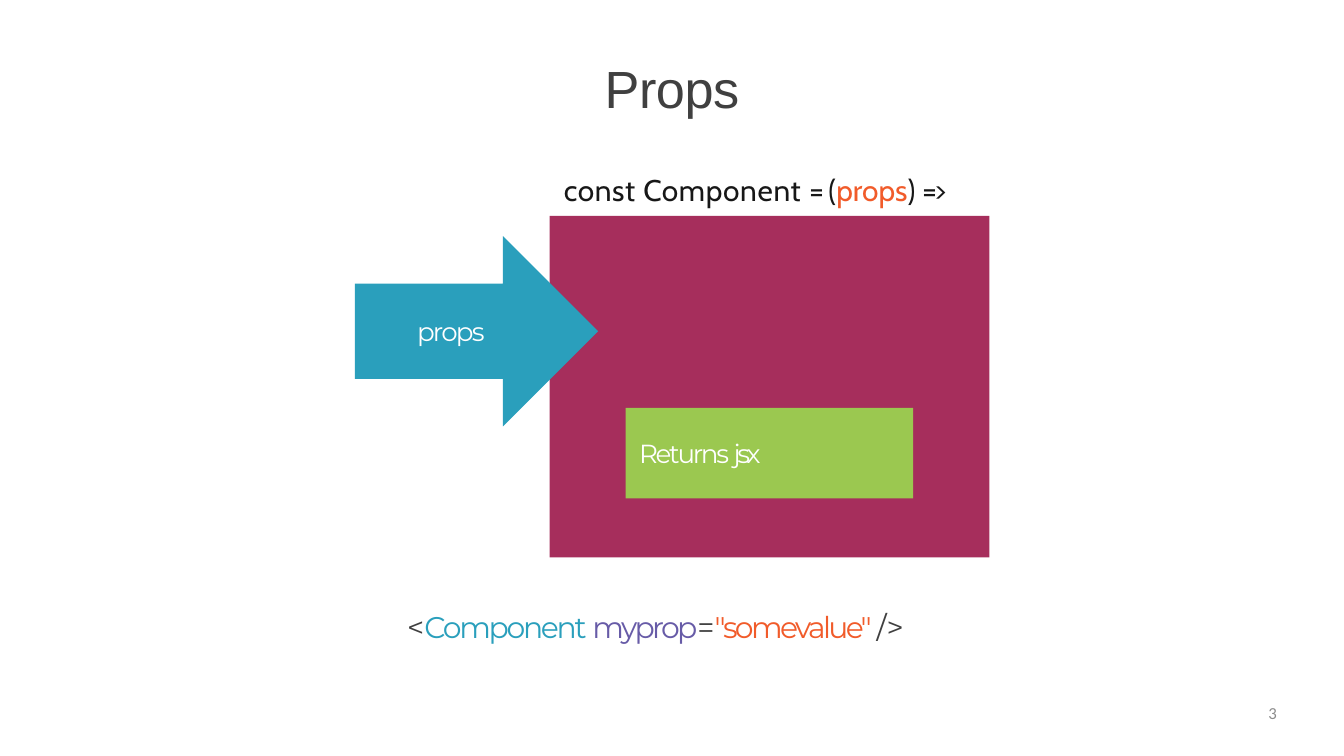
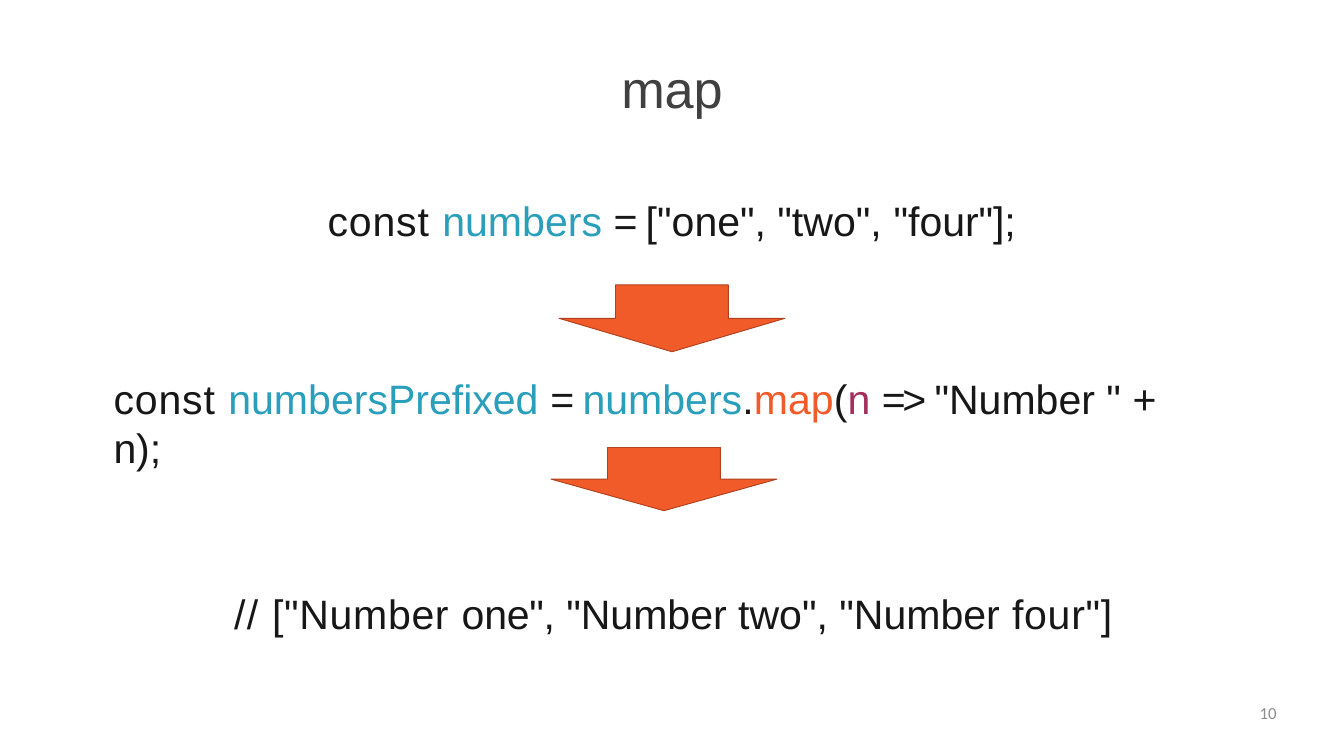
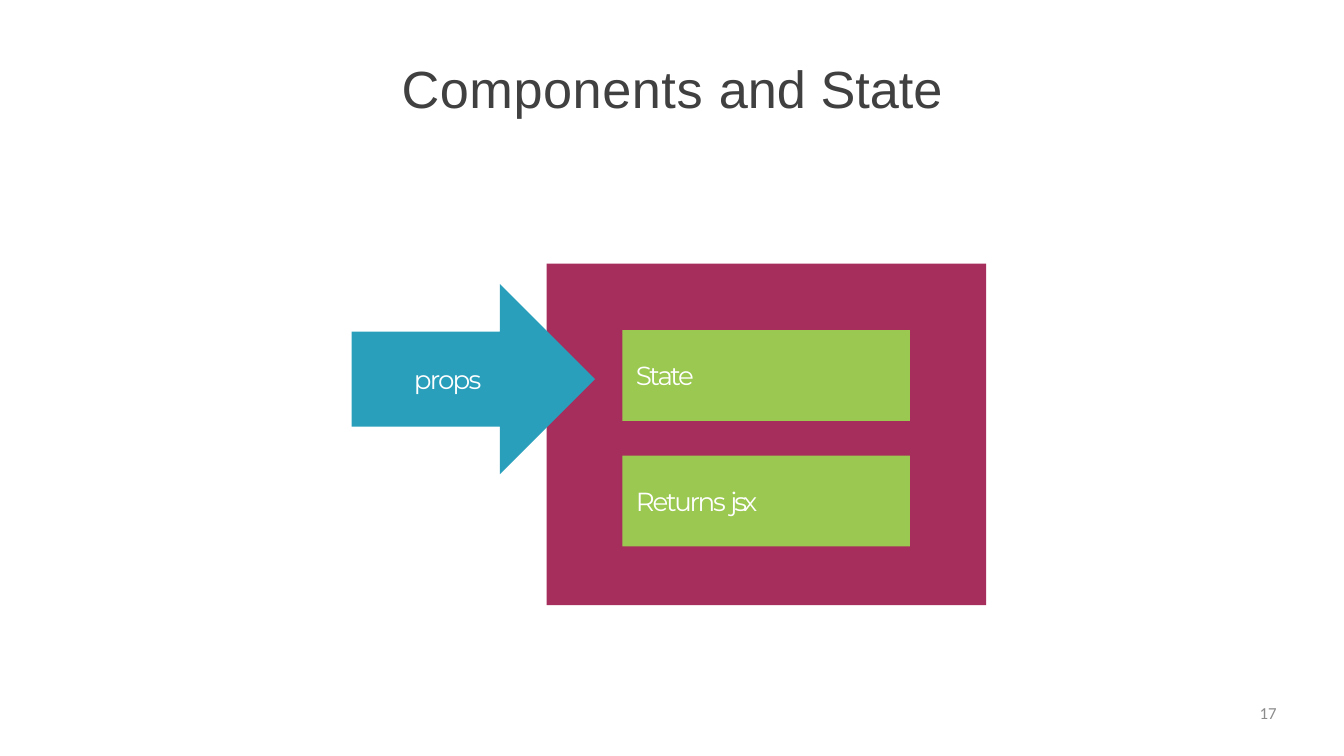
"""Build three slides on component props, array mapping and state."""
import dataclasses

import pptx
import pptx.dml.color
import pptx.enum.shapes
import pptx.enum.text
import pptx.util

Pt = pptx.util.Pt
SHAPE = pptx.enum.shapes.MSO_SHAPE
ALIGN = pptx.enum.text.PP_ALIGN
ANCHOR = pptx.enum.text.MSO_ANCHOR


@dataclasses.dataclass(frozen=True)
class Theme:
    """Colours, fonts and type sizes shared by all slides."""
    white: str = "FFFFFF"
    dark: str = "404040"
    ink: str = "171717"
    grey: str = "8C8C8C"
    teal: str = "2A9FBC"
    berry: str = "A62E5C"
    green: str = "9BC850"
    purple: str = "675BA7"
    orange: str = "F15B2A"
    rust: str = "B1411C"
    title: tuple = ("Arial", 56)
    label: tuple = ("Montserrat", 28)
    markup: tuple = ("Montserrat", 32)
    signature: tuple = ("Cabin", 32)
    code: tuple = ("Arial", 44)
    number: tuple = ("Calibri", 18)


T = Theme()

WIDTH, HEIGHT = 1440, 810
TITLE_TOP, TITLE_HEIGHT = 59.8, 69
NUMBER_BOX = (1036.8, 753, 331.2, 40)

BOX_SIZE = (471, 366)
ARROW_OFFSET, ARROW_SIZE = (-208.8, 21.8), (260.6, 203.8)
PANEL_X, PANEL_SIZE = 81.4, (308, 97.2)
PANEL_INDENT = 14.4

PROPS_LABEL = [("props", T.white, -1.9)]
STATE_PANEL = (71.2, [("State", T.white, -2.7)])
RETURNS_PANEL = (205.7, [("Returns ", T.white, -2.4), ("jsx", T.white, -3.6)])

SIGNATURE = [("const Component ", T.ink, 0.7), ("= ", T.ink, -2.6), ("(", T.ink, 0),
             ("props", T.orange, 0), (") ", T.ink, 0), ("=>", T.ink, -2.9)]
MARKUP = [("<", T.dark, -2.5), ("Component ", T.teal, -2.5), ("myprop", T.purple, -2.9),
          ("=", T.dark, -2.9), ('"somevalue" ', T.orange, -2.9), ("/>", T.dark, -0.2)]
NUMBERS = [("const ", T.ink, 0.9), ("numbers ", T.teal, 0), ("= ", T.ink, -3.6),
           ('["one", "two", ', T.ink, 0), ('"four"];', T.ink, -0.1)]
PREFIXED = [("const ", T.ink, 0.9), ("numbersPrefixed ", T.teal, 0), ("= ", T.ink, -3.6),
            ("numbers", T.teal, 0), (".", T.ink, 0), ("map", T.orange, 0), ("(", T.ink, 0),
            ("n ", T.berry, 0), ("=> ", T.ink, -3.6), ('"Number " ', T.ink, 0),
            ("+ ", T.ink, -3.6), ("n);", T.ink, -0.2)]
RESULT = [("// ", T.ink, 1.3), ('["Number ', T.ink, 0.7), ('one", ', T.ink, -0.3),
          ('"Number two", "Number ', T.ink, 0), ('four"]', T.ink, 0.8)]

SLIDES = [
    dict(title=[("Props", T.dark, -0.5)], title_width=146, number="3",
         component=((589, 231.2), [RETURNS_PANEL]),
         texts=[((436.3, 651.6, 569.5, 40), T.markup, [(MARKUP, ALIGN.LEFT, 0, 0)]),
                ((604.1, 183.6, 437, 40), T.signature, [(SIGNATURE, ALIGN.LEFT, 0, 0)])]),
    dict(title=[("map", T.dark, -0.2)], title_width=580, number="10",
         texts=[((121, 209.5, 1175.8, 411), T.code,
                 [(NUMBERS, ALIGN.CENTER, 21.6, 0), (PREFIXED, ALIGN.LEFT, 0.7, 138),
                  (RESULT, ALIGN.CENTER, 25.2, 125)])],
         down_arrows=[(599, 305.3, 242, 71.6), (590.4, 479.5, 242, 67.7)]),
    dict(title=[("Components ", T.dark, 0.6), ("and ", T.dark, 0), ("State", T.dark, -0.1)],
         title_width=580, number="17",
         component=((585.6, 282.5), [STATE_PANEL, RETURNS_PANEL])),
]


def rgb(value):
    return pptx.dml.color.RGBColor.from_string(value)


def pts(values):
    return [Pt(v) for v in values]


def fill_frame(tf, style, paragraphs, anchor=ANCHOR.TOP, wrap=True):
    tf.margin_left = tf.margin_top = tf.margin_right = tf.margin_bottom = 0
    tf.auto_size = pptx.enum.text.MSO_AUTO_SIZE.NONE
    tf.word_wrap, tf.vertical_anchor = wrap, anchor
    for i, (runs, align, indent, gap) in enumerate(paragraphs):
        p = tf.add_paragraph() if i else tf.paragraphs[0]
        p.alignment = align
        if indent:
            p._p.get_or_add_pPr().set("marL", str(int(Pt(indent))))
        if gap:
            p.space_before = Pt(gap)
        for text, colour, spacing in runs:
            r = p.add_run()
            r.text = text
            r.font.name, r.font.size = style[0], Pt(style[1])
            r.font.color.rgb = rgb(colour)
            if spacing:
                r._r.get_or_add_rPr().set("spc", str(round(spacing * 100)))


def add_text(s, box, style, paragraphs):
    sp = s.shapes.add_textbox(*pts(box))
    fill_frame(sp.text_frame, style, paragraphs)


def add_block(s, kind, box, colour, outline=None):
    sp = s.shapes.add_shape(kind, *pts(box))
    sp.shadow.inherit = False
    sp.fill.solid()
    sp.fill.fore_color.rgb = rgb(colour)
    if outline:
        sp.line.color.rgb = rgb(outline)
        sp.line.width = Pt(1)
    else:
        sp.line.fill.background()
    return sp


def add_component(s, origin, panels):
    x, y = origin
    add_block(s, SHAPE.RECTANGLE, (x, y, *BOX_SIZE), T.berry)
    dx, dy = ARROW_OFFSET
    arrow = add_block(s, SHAPE.RIGHT_ARROW, (x + dx, y + dy, *ARROW_SIZE), T.teal)
    fill_frame(arrow.text_frame, T.label, [(PROPS_LABEL, ALIGN.CENTER, 0, 0)], ANCHOR.MIDDLE)
    arrow.text_frame.margin_right = Pt(4)
    for top, runs in panels:
        panel = add_block(s, SHAPE.RECTANGLE, (x + PANEL_X, y + top, *PANEL_SIZE), T.green)
        fill_frame(panel.text_frame, T.label, [(runs, ALIGN.LEFT, PANEL_INDENT, 0)],
                   ANCHOR.MIDDLE)


def add_title(s, runs, width):
    sp = s.shapes.title
    sp.left, sp.top, sp.width, sp.height = pts(
        ((WIDTH - width) / 2, TITLE_TOP, width, TITLE_HEIGHT))
    fill_frame(sp.text_frame, T.title, [(runs, ALIGN.CENTER, 0, 0)], wrap=False)


def main():
    prs = pptx.Presentation()
    prs.slide_width, prs.slide_height = Pt(WIDTH), Pt(HEIGHT)
    for page in SLIDES:
        s = prs.slides.add_slide(prs.slide_layouts.get_by_name("Title Only"))
        add_title(s, page["title"], page["title_width"])
        if "component" in page:
            add_component(s, *page["component"])
        for box, style, paragraphs in page.get("texts", []):
            add_text(s, box, style, paragraphs)
        for box in page.get("down_arrows", []):
            add_block(s, SHAPE.DOWN_ARROW, box, T.orange, T.rust)
        add_text(s, NUMBER_BOX, T.number, [([(page["number"], T.grey, 0)], ALIGN.RIGHT, 0, 0)])
    prs.save("out.pptx")


if __name__ == "__main__":
    main()
